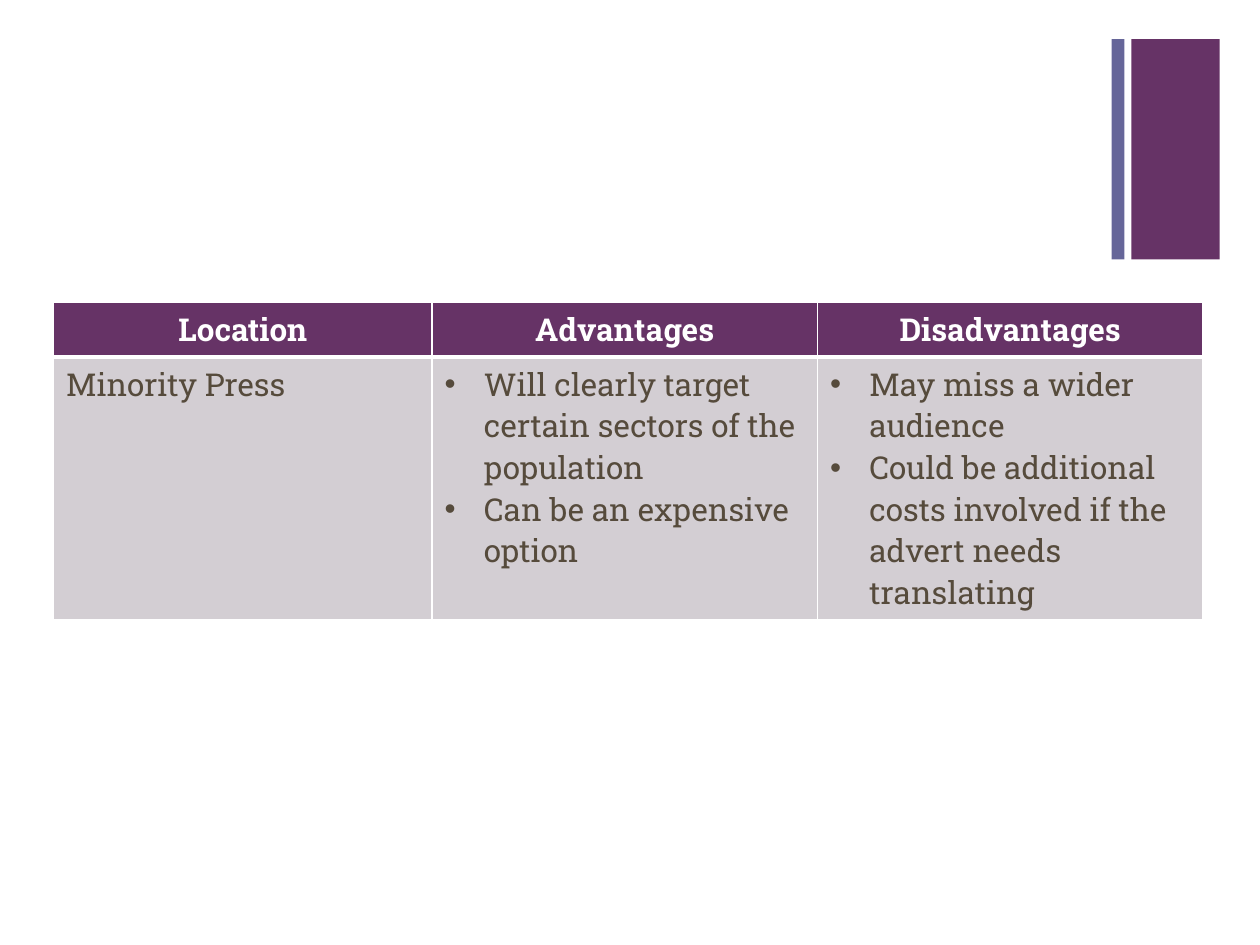
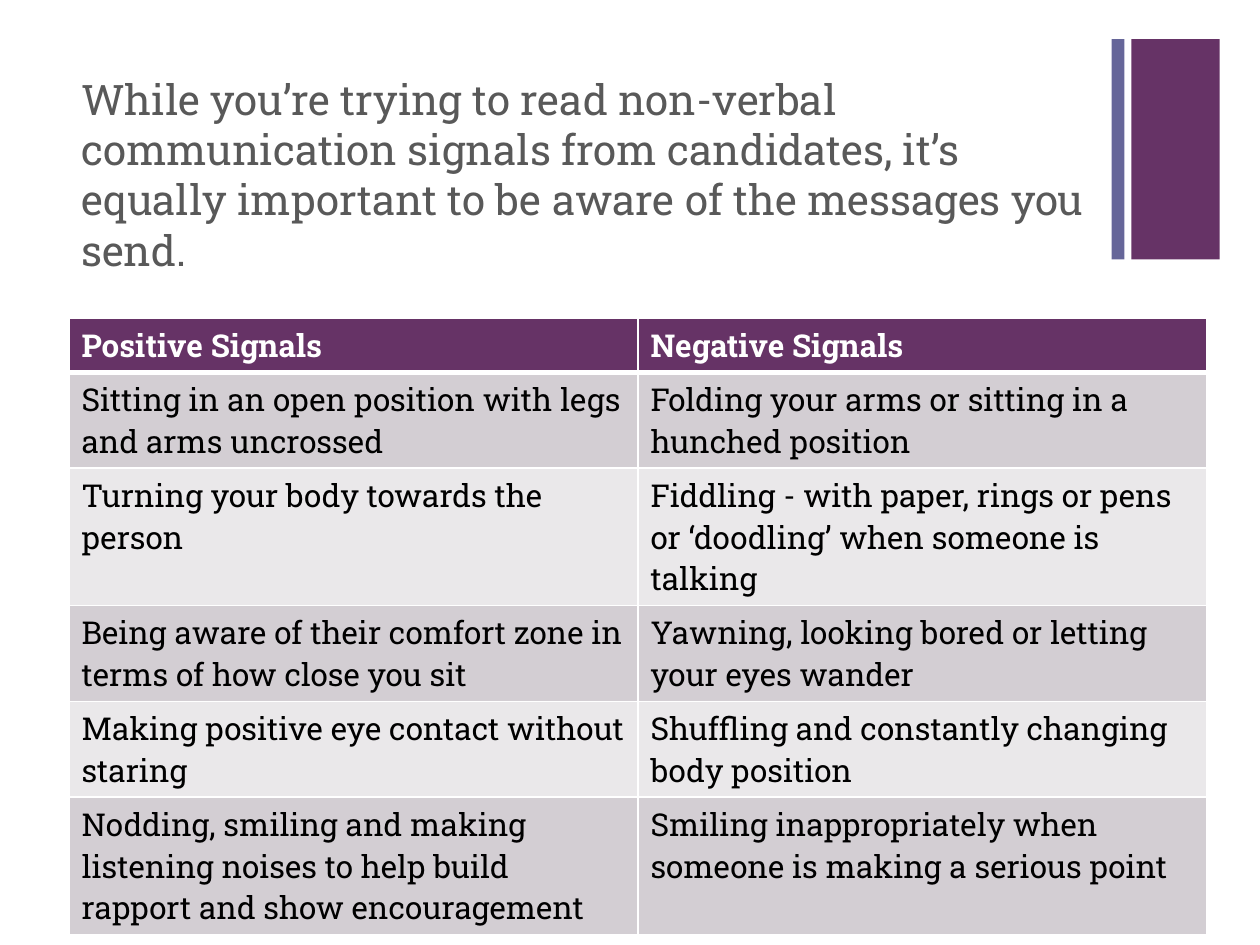
import lxml.etree
import pptx
import pptx.dml.color
import pptx.enum.shapes
import pptx.enum.text
import pptx.oxml.ns
import pptx.util

Cm, Pt = pptx.util.Cm, pptx.util.Pt
RGB = pptx.dml.color.RGBColor
ALIGN = pptx.enum.text.PP_ALIGN
qn = pptx.oxml.ns.qn

# Content: a row is its count of text lines and its cells;
# a cell is a string, or a list of bullet points
PRESS = [
    (1, "Location", "Advantages", "Disadvantages"),
    (6, "Minority Press",
     ["Will clearly target certain sectors of the population",
      "Can be an expensive option"],
     ["May miss a wider audience",
      "Could be additional costs involved if the advert needs translating"]),
]
TITLE = ("While you’re trying to read non-verbal communication signals from "
         "candidates, it’s equally important to be aware of the messages you send.")
SIGNALS = [
    (1, "Positive Signals", "Negative Signals"),
    (2, "Sitting in an open position with legs and arms uncrossed",
     "Folding your arms or sitting in a hunched position"),
    (3, "Turning your body towards the person",
     "Fiddling - with paper, rings or pens or ‘doodling’ when someone is talking"),
    (2, "Being aware of their comfort zone in terms of how close you sit",
     "Yawning, looking bored or letting your eyes wander"),
    (2, "Making positive eye contact without staring",
     "Shuffling and constantly changing body position"),
    (3, "Nodding, smiling and making listening noises to help build rapport "
     "and show encouragement",
     "Smiling inappropriately when someone is making a serious point"),
]

# Shared style
FONT = "Roboto Slab"
PURPLE = RGB(0x66, 0x33, 0x66)
BLUE = RGB(0x66, 0x66, 0x99)
WHITE = RGB(0xFF, 0xFF, 0xFF)
BLACK = RGB(0, 0, 0)
BROWN = RGB(0x56, 0x4B, 0x3C)
GREY = RGB(0x59, 0x59, 0x59)
BANDS = (RGB(0xD3, 0xCE, 0xD3), RGB(0xEA, 0xE8, 0xEA))
BARS = [(22.81, 1.78, PURPLE), (22.41, 0.26, BLUE)]
LINE, PAD = 0.84, 0.25
INDENT = Cm(0.79)


def style(para, size, color, bold=False):
    font = para.font
    font.name, font.size, font.bold = FONT, Pt(size), bold
    font.color.rgb = color


def new_slide(deck):
    slide = deck.slides.add_slide(deck.slide_layouts[6])
    for left, width, color in BARS:
        bar = slide.shapes.add_shape(
            pptx.enum.shapes.MSO_SHAPE.RECTANGLE,
            Cm(left), Cm(0.79), Cm(width), Cm(4.44))
        bar.shadow.inherit = False
        bar.fill.solid()
        bar.fill.fore_color.rgb = color
        bar.line.fill.background()
    return slide


def add_title(slide, text):
    box = slide.shapes.add_textbox(Cm(1.39), Cm(1.35), Cm(20.98), Cm(3.1))
    box.text_frame.word_wrap = True
    para = box.text_frame.paragraphs[0]
    para.text = text
    style(para, 24, GREY)


def add_borders(cell, row):
    props = cell._tc.get_or_add_tcPr()
    widths = {"L": 1, "R": 1, "T": 3 if row == 1 else 1, "B": 3 if row == 0 else 1}
    for side, width in widths.items():
        line = lxml.etree.SubElement(props, qn("a:ln" + side), w=str(Pt(width)))
        fill = lxml.etree.SubElement(line, qn("a:solidFill"))
        lxml.etree.SubElement(fill, qn("a:srgbClr"), val=str(WHITE))


def add_bullet(para):
    props = para._p.get_or_add_pPr()
    props.set("marL", str(INDENT))
    props.set("indent", str(-INDENT))
    lxml.etree.SubElement(props, qn("a:buFont"), typeface="Arial")
    lxml.etree.SubElement(props, qn("a:buChar"), char="•")


def add_grid(slide, rows, left, top, widths, color, align):
    highs = [PAD + LINE * row[0] for row in rows]
    grid = slide.shapes.add_table(
        len(rows), len(widths), Cm(left), Cm(top),
        Cm(sum(widths)), Cm(sum(highs))).table
    for col, width in zip(grid.columns, widths):
        col.width = Cm(width)
    for r, (_, *items) in enumerate(rows):
        grid.rows[r].height = Cm(highs[r])
        head = r == 0
        for c, item in enumerate(items):
            cell = grid.cell(r, c)
            add_borders(cell, r)
            cell.fill.solid()
            cell.fill.fore_color.rgb = PURPLE if head else BANDS[(r - 1) % 2]
            points = isinstance(item, list)
            cell.text = "\n".join(item) if points else item
            for para in cell.text_frame.paragraphs:
                if points:
                    add_bullet(para)
                para.alignment = align if head else ALIGN.LEFT
                style(para, 18, WHITE if head else color, head)


def main():
    deck = pptx.Presentation()
    deck.slide_width, deck.slide_height = Cm(25.4), Cm(19.05)

    # Minority press
    slide = new_slide(deck)
    add_grid(slide, PRESS, 1.08, 6.1, (7.63, 7.77, 7.77), BROWN, ALIGN.CENTER)

    # Body language signals
    slide = new_slide(deck)
    add_title(slide, TITLE)
    add_grid(slide, SIGNALS, 1.39, 6.42, (11.47, 11.47), BLACK, ALIGN.LEFT)

    deck.save("out.pptx")


if __name__ == "__main__":
    main()
